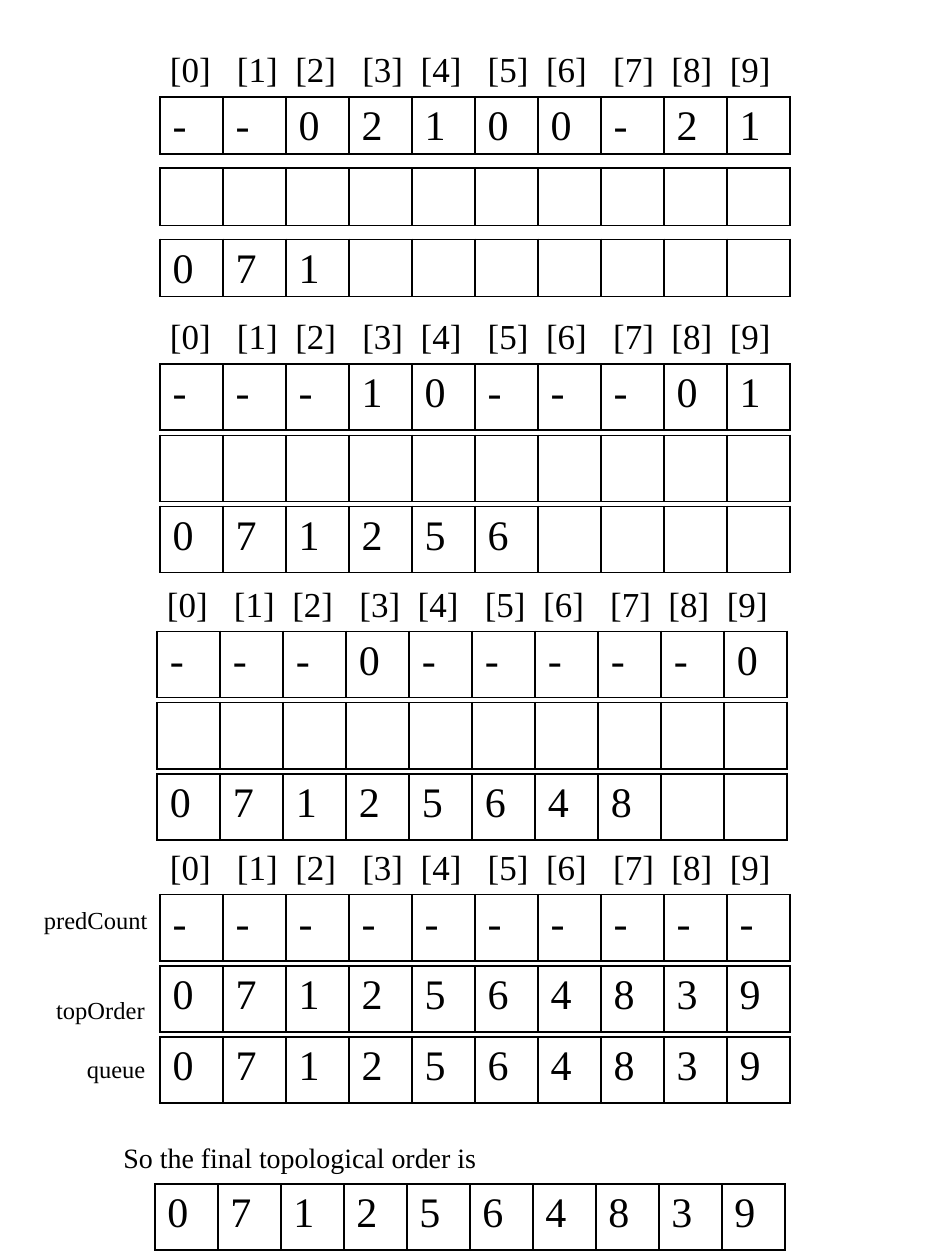
from dataclasses import dataclass
from itertools import accumulate

from lxml import etree
from pptx import Presentation
from pptx.dml.color import RGBColor
from pptx.enum import text as t
from pptx.oxml import ns
from pptx.util import Pt

BLACK = RGBColor(0, 0, 0)
FONT = "Times New Roman"
SLOTS = 10
CELL_WIDTH = 36
ROW_HEIGHT = 29.5
ARRAY_PITCH = 40.7
INDEX_HEIGHT = 31.7
WIDE_STEP, NARROW_STEP = 38.33, 33.33
INDEX_STEPS = [WIDE_STEP, NARROW_STEP] * 4 + [NARROW_STEP]
FINAL_ORDER = "0712564839"


@dataclass(frozen=True)
class Stage:
    left: float
    top: float
    pred_count: str
    top_order: str
    queue: str
    bottom_margin: float = 5.4


@dataclass(frozen=True)
class Line:
    words: str
    indent: float = 0
    space_before: float = 0


STAGES = [
    Stage(91.5, 23.7, "--02100-21", "", "071", 2.5),
    Stage(91.5, 176.3, "---10---01", "", "071256"),
    Stage(89.8, 329.1, "---0-----0", "", "07125648"),
    Stage(91.5, 479.5, "-" * SLOTS, FINAL_ORDER, FINAL_ORDER),
]
ARRAY_NAMES = [
    Line("predCount"),
    Line("topOrder", 7, 34.8),
    Line("queue", 24.5, 17),
]


def style_run(run, size: float) -> None:
    run.font.size = Pt(size)
    run.font.name = FONT
    run.font.color.rgb = BLACK


def draw_borders(cell) -> None:
    properties = cell._tc.get_or_add_tcPr()
    for side in ("a:lnL", "a:lnR", "a:lnT", "a:lnB"):
        border = etree.SubElement(properties, ns.qn(side), w=str(Pt(1)))
        solid = etree.SubElement(border, ns.qn("a:solidFill"))
        etree.SubElement(solid, ns.qn("a:srgbClr"), val=str(BLACK))


def draw_array(slide, left: float, top: float, values: str, bottom_margin: float = 5.4) -> None:
    table = slide.shapes.add_table(
        1, SLOTS, Pt(left), Pt(top), Pt(CELL_WIDTH * SLOTS), Pt(ROW_HEIGHT)
    ).table
    table.first_row = table.horz_banding = False
    for column, value in enumerate(values.ljust(SLOTS)):
        table.columns[column].width = Pt(CELL_WIDTH)
        cell = table.cell(0, column)
        cell.margin_bottom = Pt(bottom_margin)
        draw_borders(cell)
        cell.fill.background()
        paragraph = cell.text_frame.paragraphs[0]
        if value.strip():
            run = paragraph.add_run()
            run.text = value
            style_run(run, 24)
        else:
            end = etree.SubElement(paragraph._p, ns.qn("a:endParaRPr"), sz="2400")
            etree.SubElement(end, ns.qn("a:latin"), typeface=FONT)


def draw_text(slide, left: float, top: float, width: float, height: float,
              lines: list[Line], size: float):
    frame = slide.shapes.add_textbox(Pt(left), Pt(top), Pt(width), Pt(height)).text_frame
    frame.word_wrap = True
    frame.auto_size = t.MSO_AUTO_SIZE.SHAPE_TO_FIT_TEXT
    for number, line in enumerate(lines):
        paragraph = frame.add_paragraph() if number else frame.paragraphs[0]
        if line.space_before:
            paragraph.space_before = Pt(line.space_before)
        if line.indent:
            paragraph._p.get_or_add_pPr().set("marL", str(Pt(line.indent)))
        run = paragraph.add_run()
        run.text = line.words
        style_run(run, size)
    return frame


def draw_indices(slide, left: float, top: float) -> None:
    words = "\t".join(f"[{slot}]" for slot in range(SLOTS))
    frame = draw_text(slide, left, top, 360, INDEX_HEIGHT, [Line(words)], 20)
    properties = frame.paragraphs[0]._p.get_or_add_pPr()
    tabs = etree.SubElement(properties, ns.qn("a:tabLst"))
    for stop in accumulate(INDEX_STEPS):
        etree.SubElement(tabs, ns.qn("a:tab"), pos=str(Pt(stop)), algn="l")


def draw_stage(slide, stage: Stage) -> None:
    for row, values in enumerate((stage.pred_count, stage.top_order, stage.queue)):
        top = stage.top + INDEX_HEIGHT + row * ARRAY_PITCH
        draw_array(slide, stage.left, top, values, stage.bottom_margin)
    draw_indices(slide, stage.left - 1.5, stage.top)


def main() -> None:
    deck = Presentation()
    deck.slide_width, deck.slide_height = Pt(540), Pt(720)
    slide = deck.slides.add_slide(deck.slide_layouts[6])
    for stage in STAGES:
        draw_stage(slide, stage)
    draw_text(slide, 18, 513.4, 96, 108.7, ARRAY_NAMES, 14)
    draw_array(slide, 88.5, 676.6, FINAL_ORDER)
    draw_text(slide, 63.4, 648, 361.5, 26.6, [Line("So the final topological order is")], 16)
    deck.save("out.pptx")


if __name__ == "__main__":
    main()
